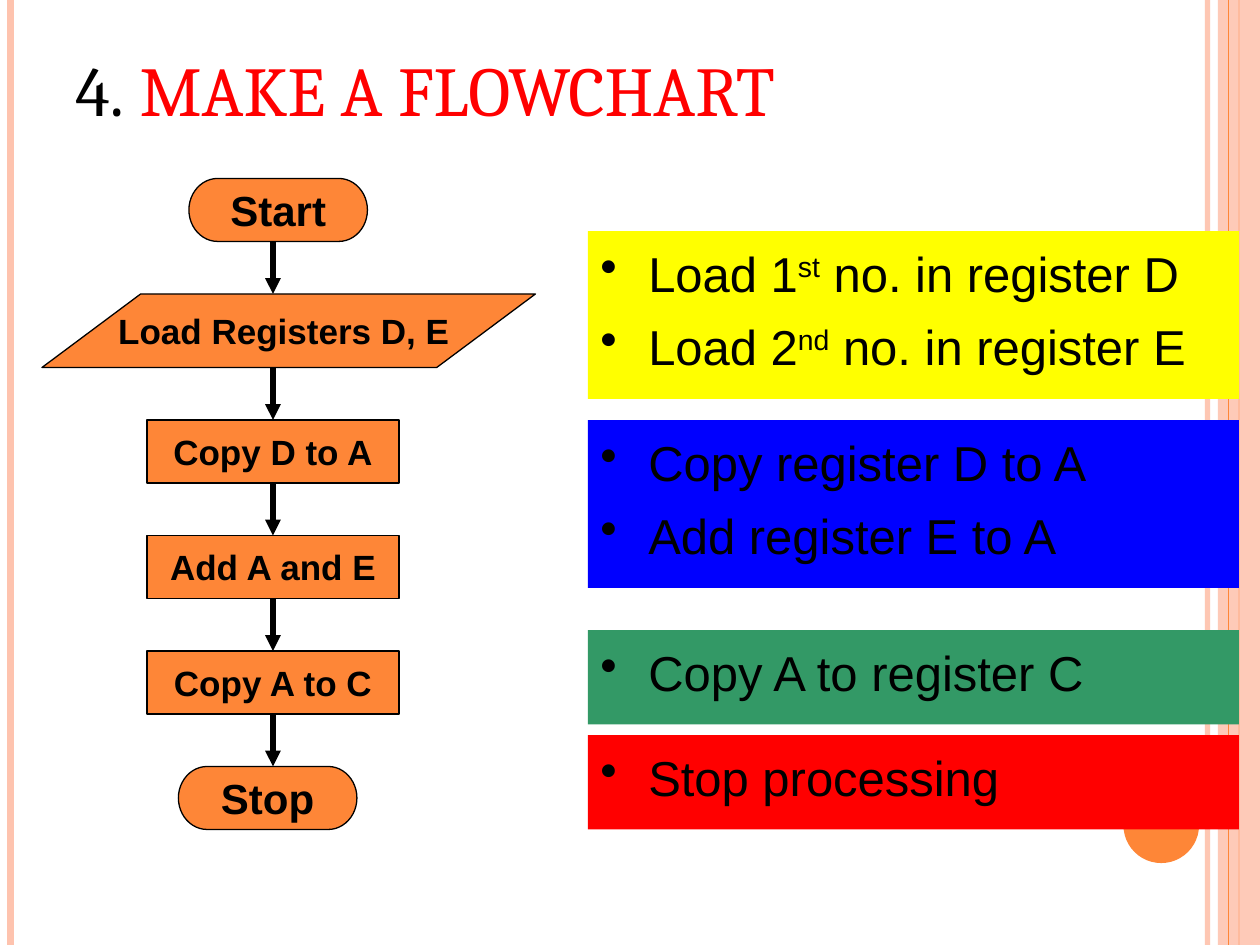
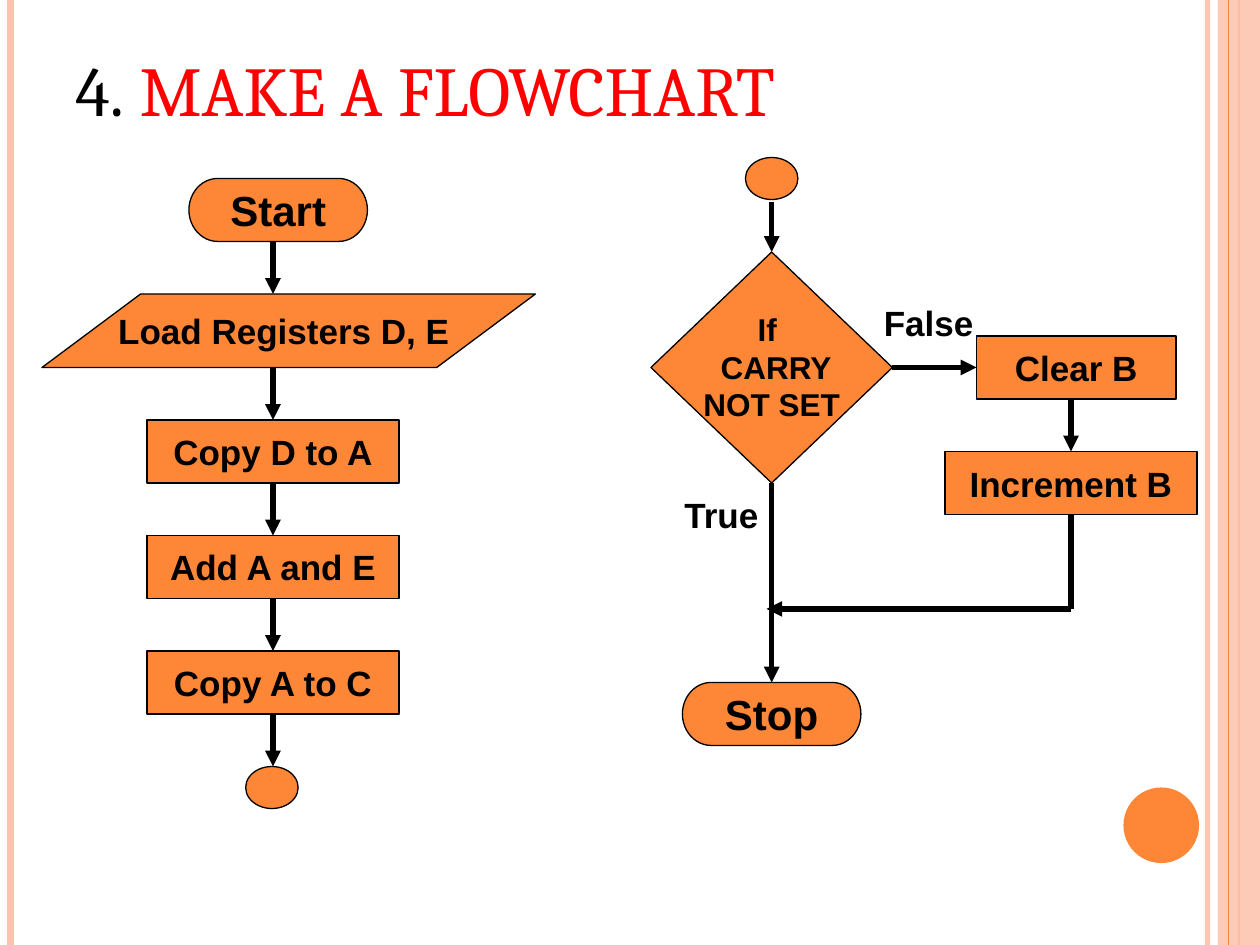
import dataclasses

import lxml.etree
import pptx
import pptx.dml.color
import pptx.enum.shapes
import pptx.enum.text
import pptx.oxml.ns
import pptx.util

MSO = pptx.enum.shapes.MSO_SHAPE
ALIGN = pptx.enum.text.PP_ALIGN
ANCHOR = pptx.enum.text.MSO_ANCHOR
qn = pptx.oxml.ns.qn

WIDTH, HEIGHT = 10, 7.5
COLS, ROWS = 120, 90
TOP, LEFT, BOTTOM, RIGHT = range(4)


@dataclasses.dataclass(frozen=True)
class Theme:
    ink: str = "000000"
    accent: str = "FE8637"
    pale: str = "FEC3AE"
    red: str = "FF0000"
    yellow: str = "FFFF00"
    blue: str = "0000FF"
    green: str = "339966"
    body: str = "Arial"
    heading: str = "Cambria"
    title: int = 40
    note: int = 28
    terminal: int = 24
    step: int = 20
    decision: int = 18
    arrow: float = 3
    outline: float = 0.75


T = Theme()


def rgb(value):
    return pptx.dml.color.RGBColor.from_string(value)


def col(n):
    return pptx.util.Inches(n * WIDTH / COLS)


def row(n):
    return pptx.util.Inches(n * HEIGHT / ROWS)


def set_alpha(sp, percent):
    for clr in sp._element.spPr.iter(qn("a:srgbClr")):
        lxml.etree.SubElement(clr, qn("a:alpha"), val=str(percent * 1000))


def add_bullet(p, color, indent=0.38):
    pPr = p._p.get_or_add_pPr()
    pPr.set("marL", str(pptx.util.Inches(indent)))
    pPr.set("indent", str(-pptx.util.Inches(indent)))
    clr = lxml.etree.SubElement(pPr, qn("a:buClr"))
    lxml.etree.SubElement(clr, qn("a:srgbClr"), val=color)
    lxml.etree.SubElement(pPr, qn("a:buChar"), char="•")


def write(tf, paragraphs, size=T.step, font=T.body, color=T.ink, bold=False,
          align=ALIGN.LEFT, anchor=ANCHOR.TOP, wrap=True, top=0.05,
          bullet=False, gap=0):
    tf.word_wrap = wrap
    tf.vertical_anchor = anchor
    tf.margin_left = tf.margin_right = pptx.util.Inches(0.1)
    tf.margin_top = pptx.util.Inches(top)
    tf.margin_bottom = pptx.util.Inches(0.05)
    for i, runs in enumerate(paragraphs):
        p = tf.add_paragraph() if i else tf.paragraphs[0]
        p.alignment = align
        if i and gap:
            p.space_before = pptx.util.Pt(gap)
        if bullet:
            add_bullet(p, color)
        for run in [runs] if isinstance(runs, str) else runs:
            text, extra = (run, {}) if isinstance(run, str) else run
            r = p.add_run()
            r.text = text
            r.font.name = font
            r.font.size = pptx.util.Pt(size)
            r.font.bold = bold
            r.font.color.rgb = rgb(extra.get("color", color))
            if extra.get("raised"):
                r._r.get_or_add_rPr().set("baseline", "30000")


def add_shape(s, kind, x, y, w, h, fill=T.accent, outline=True):
    sp = s.shapes.add_shape(kind, col(x), row(y), col(w), row(h))
    sp.shadow.inherit = False
    sp.fill.solid()
    sp.fill.fore_color.rgb = rgb(fill)
    if outline:
        sp.line.color.rgb = rgb(T.ink)
        sp.line.width = pptx.util.Pt(T.outline)
    else:
        sp.line.fill.background()
    return sp


def add_label(s, paragraphs, x, y, w, h, **fmt):
    sp = s.shapes.add_textbox(col(x), row(y), col(w), row(h))
    write(sp.text_frame, paragraphs, **fmt)


def add_line(s, x1, y1, x2, y2, color=T.ink, width=T.arrow, head=False,
             begin=None, end=None):
    line = s.shapes.add_connector(
        pptx.enum.shapes.MSO_CONNECTOR.STRAIGHT, col(x1), row(y1), col(x2), row(y2))
    line.line.color.rgb = rgb(color)
    line.line.width = pptx.util.Pt(width)
    spPr = line._element.spPr
    if head:
        lxml.etree.SubElement(spPr.find(qn("a:ln")), qn("a:tailEnd"), type="triangle")
    lxml.etree.SubElement(spPr, qn("a:effectLst"))
    if begin:
        line.begin_connect(*begin)
    if end:
        line.end_connect(*end)
    return line


def add_node(s, kind, text, x, y, w, h, size=T.step):
    sp = add_shape(s, kind, x, y, w, h)
    if text:
        write(sp.text_frame, [text], size=size, bold=True, align=ALIGN.CENTER,
              anchor=ANCHOR.MIDDLE, wrap=False)
    return sp


def add_terminal(s, text, x, y):
    return add_node(s, MSO.FLOWCHART_TERMINATOR, text, x, y, 17, 6, T.terminal)


def add_process(s, text, x, y, w=24):
    return add_node(s, MSO.FLOWCHART_PROCESS, text, x, y, w, 6)


def add_joint(s, x, y):
    return add_node(s, MSO.FLOWCHART_CONNECTOR, "", x, y, 5, 4)


def add_frame(s, box):
    x, y, w, h = box

    def rule(dx, color, width):
        return add_line(s, x + dx, y, x + dx, y + h, color, width)

    set_alpha(rule(w - 5, T.pale, 3), 93)
    rule(1, T.pale, 4.5)
    rule(w - 2, T.accent, 1.5)
    band = add_shape(s, MSO.RECTANGLE, x + w - 4, y, 4, h, T.pale, outline=False)
    set_alpha(band, 87)
    rule(w - 3, T.accent, 0.75)
    add_shape(s, MSO.OVAL, x + w - 13, y + h - 15, 7.2, 7.2, outline=False)


def add_title(s, box):
    add_label(s, [["4.", (" MAKE A FLOWCHART", {"color": T.red})]], *box,
              size=T.title, font=T.heading, anchor=ANCHOR.BOTTOM)


def add_main_flow(s, box, ends_with_stop):
    x, y = box[:2]
    axis, gap = x + 22, 5
    add_terminal(s, "Start", x + 14, y)
    add_line(s, axis, y + 6, axis, y + 6 + gap, head=True)
    y += 6 + gap
    add_node(s, MSO.FLOWCHART_DATA, "Load Registers D, E ", x, y, 47, 7)
    y += 7
    previous = None
    for text in ("Copy D to A", "Add A and E", "Copy A to C"):
        step = add_process(s, text, x + 10, y + gap)
        add_line(s, axis, y, axis, y + gap, head=True,
                 begin=previous and (previous, BOTTOM), end=(step, TOP))
        previous = step
        y += gap + 6
    add_line(s, axis, y, axis, y + gap, head=True, begin=(previous, BOTTOM))
    if ends_with_stop:
        add_terminal(s, "Stop", x + 13, y + gap)
    else:
        add_joint(s, x + 19.4, y + gap)


def add_notes(s, box):
    x, y, w, _ = box
    raised = {"raised": True}
    notes = [
        (0, 16, T.yellow, [["Load 1", ("st", raised), " no. in register D"],
                           ["Load 2", ("nd", raised), " no. in register E"]]),
        (18, 16, T.blue, ["Copy register D to A", "Add register E to A"]),
        (38, 9, T.green, ["Copy A to register C"]),
        (48, 9, T.red, ["Stop processing"]),
    ]
    for dy, h, fill, paragraphs in notes:
        sp = add_shape(s, MSO.RECTANGLE, x, y + dy, w, h, fill, outline=False)
        write(sp.text_frame, paragraphs, size=T.note, top=0.1, bullet=True, gap=8)


def add_carry_flow(s, box):
    x, y = box[:2]
    axis, side, merge = x + 11.5, x + 40, y + 43
    add_joint(s, axis - 2.5, y)
    test = add_shape(s, MSO.FLOWCHART_DECISION, x, y + 9, 23, 22)
    write(test.text_frame, ["If ", " CARRY", "NOT SET"], size=T.decision, bold=True,
          align=ALIGN.CENTER, wrap=False, top=0)
    clear = add_process(s, "Clear B", x + 31, y + 17, 19)
    increment = add_process(s, "Increment B", x + 28, y + 28)
    stop = add_terminal(s, "Stop", axis - 8.5, y + 50)
    add_line(s, axis, y + 4.2, axis, y + 9, head=True, end=(test, TOP))
    add_line(s, x + 23, y + 20, x + 31, y + 20, head=True,
             begin=(test, RIGHT), end=(clear, LEFT))
    add_line(s, side, y + 23, side, y + 28, head=True, end=(increment, TOP))
    add_line(s, axis, y + 31, axis, y + 50, head=True,
             begin=(test, BOTTOM), end=(stop, TOP))
    add_line(s, side, y + 34, side, merge, begin=(increment, BOTTOM))
    add_line(s, side, merge, axis - 0.5, merge, head=True)
    for text, dx, dy in (("False", 21, 12.8), ("True", 2, 31)):
        add_label(s, [text], x + dx, y + dy, 11, 5.3, bold=True, top=0.08)


def add_flow_slide(prs):
    s = prs.slides.add_slide(prs.slide_layouts[6])
    add_frame(s, (0, 0, COLS, ROWS))
    add_title(s, (6, 3.6, 108, 9.4))
    return s


def main():
    prs = pptx.Presentation()
    prs.slide_width = pptx.util.Inches(WIDTH)
    prs.slide_height = pptx.util.Inches(HEIGHT)
    flow_box = (4, 17, 47, 62)

    s = add_flow_slide(prs)
    add_main_flow(s, flow_box, ends_with_stop=True)
    add_notes(s, (56, 22, 62, 57))

    s = add_flow_slide(prs)
    add_main_flow(s, flow_box, ends_with_stop=False)
    add_carry_flow(s, (62, 15, 52, 56))

    prs.save("out.pptx")


if __name__ == "__main__":
    main()
